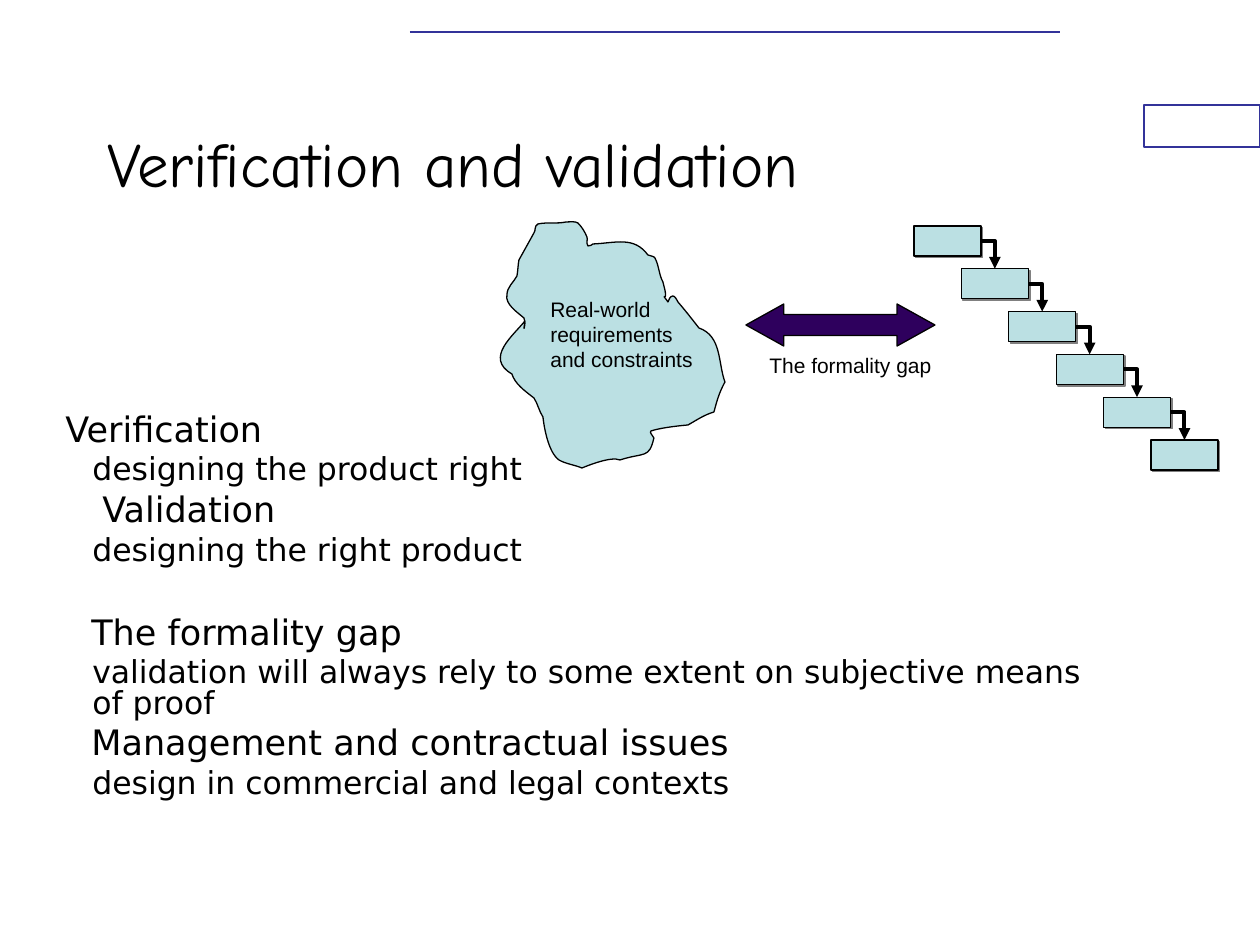
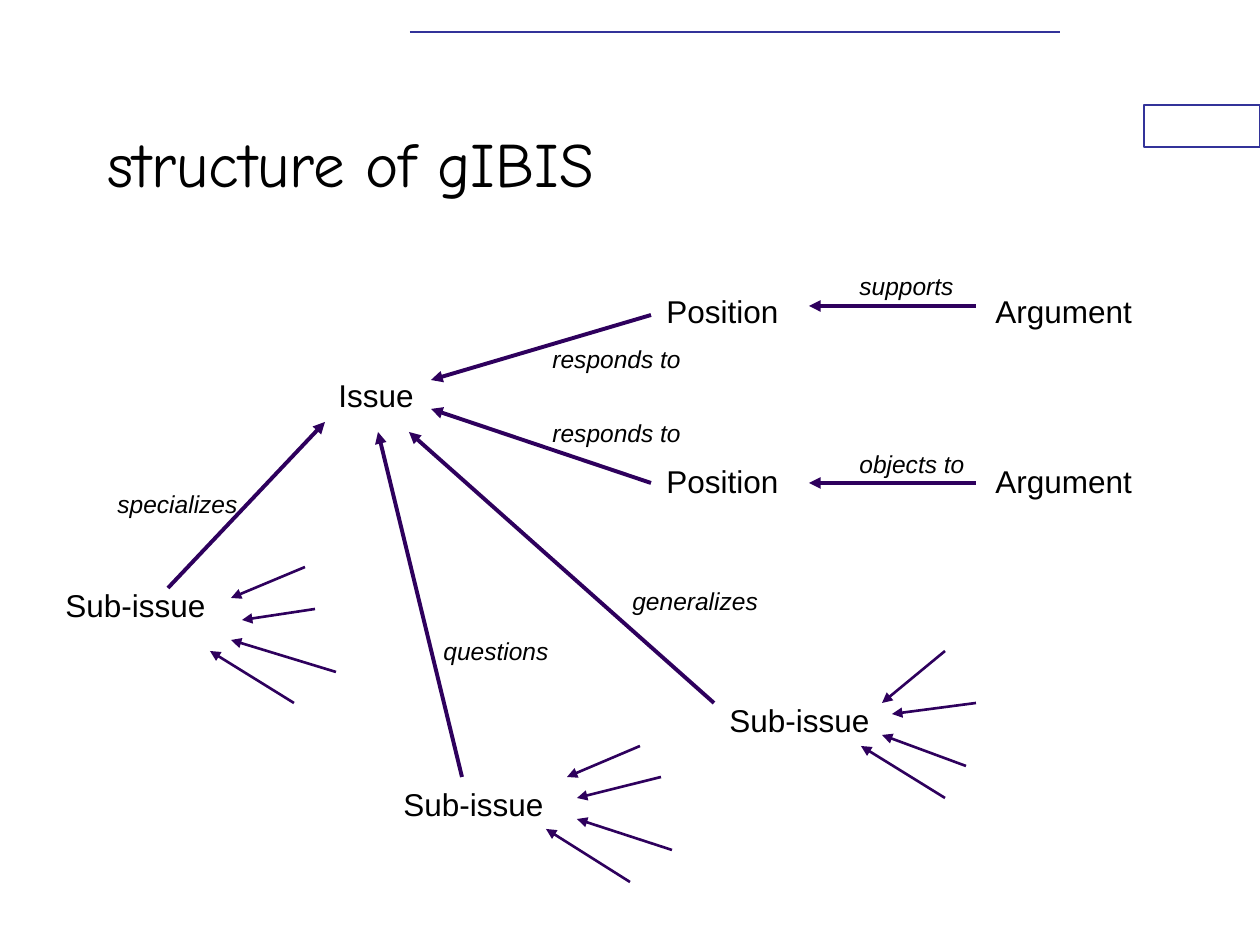
"""Build two slides: verification and validation, and the structure of gIBIS."""
from lxml.etree import SubElement
from pptx import Presentation
from pptx.dml.color import RGBColor
from pptx.enum.shapes import MSO_CONNECTOR as Link, MSO_SHAPE as Preset
from pptx.enum.text import MSO_ANCHOR as Anchor, MSO_AUTO_SIZE as AutoSize
from pptx.oxml.ns import qn
from pptx.util import Emu, Pt

PX = 914400 / 126
BLACK = RGBColor(0, 0, 0)
WHITE = RGBColor(255, 255, 255)
BLUE = RGBColor(0x33, 0x33, 0x99)
AQUA = RGBColor(0xBB, 0xE0, 0xE3)
PURPLE = RGBColor(0x2E, 0x00, 0x5D)

TITLE_FONT = {"name": "Comic Neue", "size": Pt(36)}
TOPIC_FONT = {"name": "DejaVu Sans", "size": Pt(20)}
DETAIL_FONT = {"name": "DejaVu Sans", "size": Pt(18)}
CAPTION_FONT = {"name": "Arial", "size": Pt(12)}
NODE_FONT = {"name": "Arial", "size": Pt(18)}
RELATION_FONT = {"name": "Arial", "size": Pt(14), "italic": True}
LABEL_FRAME = {"word_wrap": False, "auto_size": AutoSize.SHAPE_TO_FIT_TEXT}
TITLE_FRAME = {"word_wrap": True, "vertical_anchor": Anchor.MIDDLE}
BODY_FRAME = {"word_wrap": True}

TITLE_AREA = (95, 83, 945, 158)
CORNER_BOX = (1144, 105, 116, 42)
TOP_RULE = ((410, 32), (1060, 32))

VALIDATION_TITLE = "Verification and validation"
BODY_AREA = (53, 409, 1071, 431)
BODY = [
    ("Verification", TOPIC_FONT, 0, 5),
    ("designing the product right", DETAIL_FONT, 27, 4.5),
    ("Validation", TOPIC_FONT, 37, 5),
    ("designing the right product", DETAIL_FONT, 27, 4.5),
    ("The formality gap", TOPIC_FONT, 26, 29),
    ("validation will always rely to some extent on subjective means of proof",
     DETAIL_FONT, 27, 4.5),
    ("Management and contractual issues", TOPIC_FONT, 26, 5),
    ("design in commercial and legal contexts", DETAIL_FONT, 27, 4.5),
]
STAGES = 6
FIRST_STAGE, LAST_STAGE, STAGE_SIZE = (914, 226), (1151, 440), (67, 30)
GAP_ARROW = (746, 304, 189, 42)
CAPTIONS = [
    ("Real-world\nrequirements\nand constraints", (538, 290, 168, 88)),
    ("The formality gap", (757, 346, 188, 38)),
]
CLOUD_START = (525, 321)
CLOUD_CURVES = [
    (514, 335, 484, 358, 512, 374), (515, 384, 525, 391, 534, 398),
    (538, 404, 539, 411, 543, 417), (544, 426, 548, 452, 559, 460),
    (566, 464, 575, 465, 582, 468), (587, 466, 611, 456, 620, 460),
    (645, 452, 649, 459, 654, 438), (653, 436, 649, 432, 651, 431),
    (663, 427, 688, 425, 688, 425), (697, 420, 704, 415, 714, 412),
    (717, 401, 719, 393, 725, 382), (718, 363, 722, 336, 699, 328),
    (692, 319, 685, 310, 678, 302), (677, 300, 675, 296, 673, 296),
    (670, 296, 669, 300, 668, 302), (659, 289, 668, 305, 665, 290),
    (665, 287, 663, 285, 663, 282), (659, 275, 659, 265, 655, 258),
    (654, 256, 650, 256, 648, 255), (634, 236, 616, 243, 593, 244),
    (592, 244, 590, 247, 588, 246), (586, 243, 588, 239, 587, 237),
    (585, 232, 582, 227, 578, 223), (575, 221, 570, 222, 566, 222),
    (557, 224, 547, 222, 538, 224), (534, 226, 536, 231, 534, 233),
    (529, 242, 524, 251, 519, 260), (518, 265, 518, 271, 517, 276),
    (514, 282, 507, 287, 507, 295), (505, 304, 517, 312, 524, 318),
    (524, 319, 525, 321, 525, 323), (525, 325, 524, 330, 524, 328),
    (524, 326, 525, 324, 525, 321),
]

GIBIS_TITLE = "structure of gIBIS"
NODE_WIDTHS = {"Issue": 102, "Sub-issue": 166, "Position": 138, "Argument": 163}
NODES = [
    ("Sub-issue", 53, 580), ("Issue", 326, 370), ("Sub-issue", 391, 779),
    ("Sub-issue", 717, 695), ("Position", 654, 286), ("Position", 654, 456),
    ("Argument", 983, 286), ("Argument", 983, 456),
]
RELATIONS = [
    ("responds to", (540, 338, 155), (651, 315), (431, 380)),
    ("responds to", (540, 412, 155), (651, 483), (431, 409)),
    ("objects to", (847, 443, 131), (976, 483), (809, 483)),
    ("supports", (847, 265, 121), (976, 306), (809, 306)),
    ("questions", (431, 630, 131), (462, 777), (378, 432)),
    ("generalizes", (620, 580, 152), (714, 703), (409, 432)),
    ("specializes", (105, 483, 146), (168, 588), (325, 422)),
]
OPEN_ARROWS = [
    ((305, 567), (231, 598)), ((315, 609), (242, 620)),
    ((294, 703), (210, 651)), ((336, 672), (231, 640)),
    ((640, 746), (567, 777)), ((661, 777), (577, 798)),
    ((630, 882), (546, 829)), ((672, 850), (577, 819)),
    ((945, 651), (882, 703)), ((976, 703), (892, 714)),
    ((945, 798), (861, 746)), ((966, 766), (882, 735)),
]


def emu(*lengths):
    return [Emu(round(length * PX)) for length in lengths]


def apply(target, values):
    for key, value in values.items():
        setattr(target, key, value)


def paint(shape, fill, line=BLACK):
    shape.shadow.inherit = False
    shape.fill.solid()
    shape.fill.fore_color.rgb = fill
    shape.line.color.rgb = line
    shape.line.width = Pt(0.75)
    return shape


def add_preset(slide, preset, area, fill, line=BLACK):
    return paint(slide.shapes.add_shape(preset, *emu(*area)), fill, line)


def add_line(slide, start, end, color, width, arrow=True, kind=Link.STRAIGHT):
    line = slide.shapes.add_connector(kind, *emu(*start, *end))
    line.line.color.rgb = color
    line.line.width = Pt(width)
    properties = line._element.spPr
    if arrow:
        SubElement(properties.find(qn("a:ln")), qn("a:tailEnd"), type="triangle")
    SubElement(properties, qn("a:effectLst"))
    return line


def write(paragraph, text, font):
    run = paragraph.add_run()
    run.text = text
    apply(run.font, font)
    run.font.color.rgb = BLACK


def add_text(slide, area, lines, font, frame_format=LABEL_FRAME):
    frame = slide.shapes.add_textbox(*emu(*area)).text_frame
    apply(frame, frame_format)
    for number, line in enumerate(lines):
        paragraph = frame.add_paragraph() if number else frame.paragraphs[0]
        write(paragraph, line, font)


def add_base(deck, title):
    slide = deck.slides.add_slide(deck.slide_layouts[6])
    add_preset(slide, Preset.RECTANGLE, CORNER_BOX, WHITE, BLUE)
    add_line(slide, *TOP_RULE, BLUE, 1, arrow=False)
    add_text(slide, TITLE_AREA, [title], TITLE_FONT, TITLE_FRAME)
    return slide


def add_body(slide):
    frame = slide.shapes.add_textbox(*emu(*BODY_AREA)).text_frame
    apply(frame, BODY_FRAME)
    for number, (text, font, indent, before) in enumerate(BODY):
        paragraph = frame.add_paragraph() if number else frame.paragraphs[0]
        apply(paragraph, {"line_spacing": 0.8, "space_before": Pt(before)})
        properties = paragraph._p.get_or_add_pPr()
        properties.set("marL", str(emu(indent)[0]))
        properties.set("indent", "0")
        write(paragraph, text, font)


def add_stages(slide):
    stages = []
    for number in range(STAGES):
        corner = [first + (last - first) * number / (STAGES - 1)
                  for first, last in zip(FIRST_STAGE, LAST_STAGE)]
        stage = add_preset(slide, Preset.RECTANGLE, (*corner, *STAGE_SIZE), AQUA)
        effects = stage._element.spPr.find(qn("a:effectLst"))
        shadow = SubElement(effects, qn("a:outerShdw"), dist=str(Pt(1.4)),
                            dir="2700000", algn="ctr", rotWithShape="0")
        SubElement(shadow, qn("a:srgbClr"), val="808080")
        stages.append(stage)
    for stage, following in zip(stages, stages[1:]):
        step = add_line(slide, (0, 0), (0, 0), BLACK, 2.25, kind=Link.ELBOW)
        step._element.spPr.find(qn("a:prstGeom")).set("prst", "bentConnector2")
        step.begin_connect(stage, 3)
        step.end_connect(following, 0)


def add_cloud(slide):
    builder = slide.shapes.build_freeform(*CLOUD_START, scale=PX)
    for x1, y1, x2, y2, x3, y3 in CLOUD_CURVES:
        builder.add_line_segments([(x1, y1), (x2, y2), (x3, y3)], close=False)
    cloud = paint(builder.convert_to_shape(), AQUA)
    outline = next(cloud._element.iter(qn("a:path")))
    segments = outline.findall(qn("a:lnTo"))
    for first in range(0, len(segments), 3):
        curve = SubElement(outline, qn("a:cubicBezTo"))
        for segment in segments[first:first + 3]:
            curve.append(segment[0])
            outline.remove(segment)
    SubElement(outline, qn("a:close"))


def build_validation(deck):
    slide = add_base(deck, VALIDATION_TITLE)
    add_body(slide)
    add_stages(slide)
    add_cloud(slide)
    gap = add_preset(slide, Preset.LEFT_RIGHT_ARROW, GAP_ARROW, PURPLE)
    gap.adjustments[0], gap.adjustments[1] = 0.5, 0.9
    for text, area in CAPTIONS:
        add_text(slide, area, text.split("\n"), CAPTION_FONT)


def build_gibis(deck):
    slide = add_base(deck, GIBIS_TITLE)
    for name, left, top in NODES:
        add_text(slide, (left, top, NODE_WIDTHS[name], 50), [name], NODE_FONT)
    for name, label, start, end in RELATIONS:
        add_text(slide, (*label, 43), [name], RELATION_FONT)
        add_line(slide, start, end, PURPLE, 2.25)
    for start, end in OPEN_ARROWS:
        add_line(slide, start, end, PURPLE, 1.5)


def main():
    deck = Presentation()
    deck.slide_width, deck.slide_height = emu(1260, 945)
    build_validation(deck)
    build_gibis(deck)
    deck.save("out.pptx")


if __name__ == "__main__":
    main()
